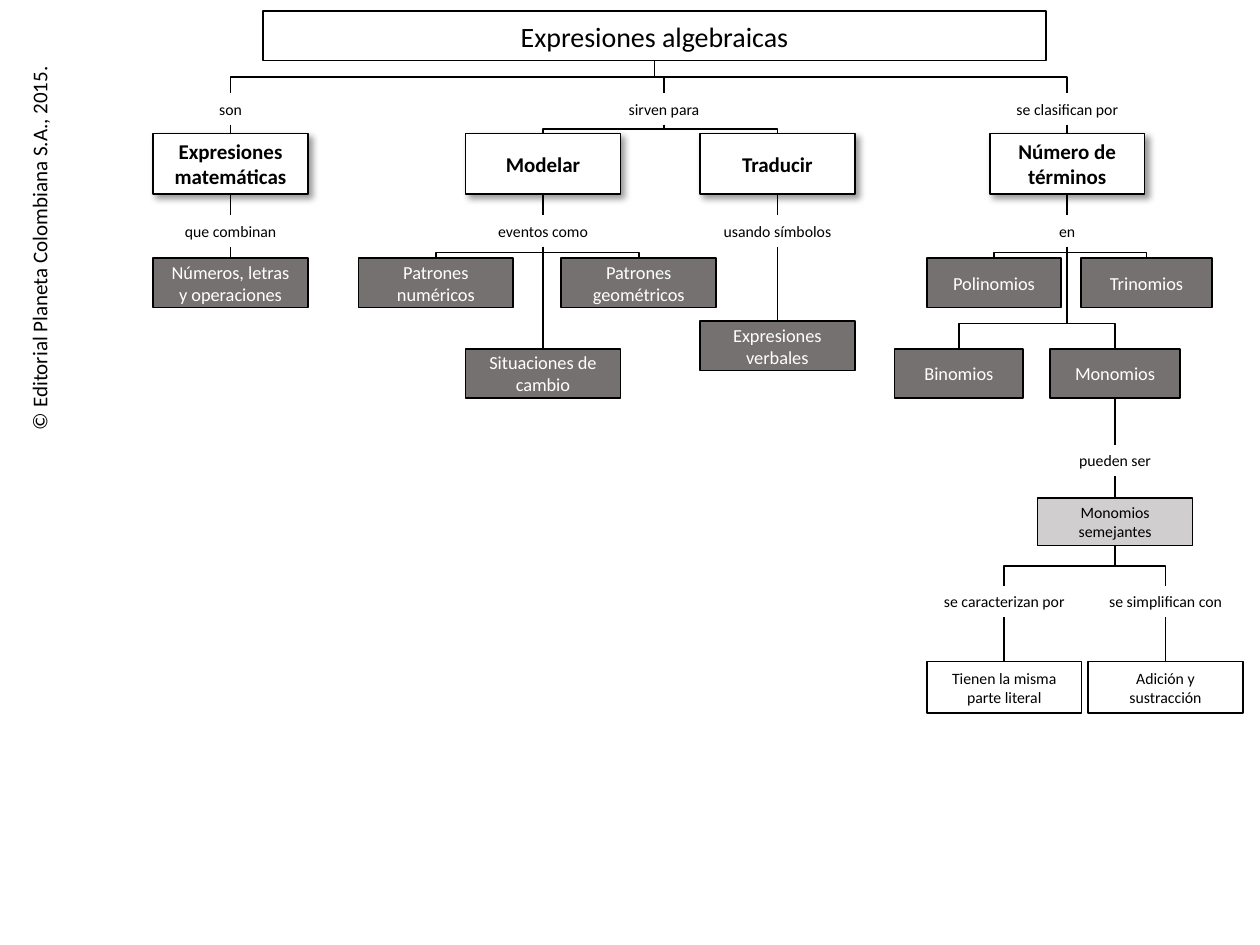
"""Build a one-slide concept map of algebraic expressions."""
from lxml.etree import SubElement
from pptx import Presentation
from pptx.dml.color import RGBColor
from pptx.enum.shapes import MSO_CONNECTOR, MSO_SHAPE
from pptx.enum.text import MSO_ANCHOR, MSO_AUTO_SIZE, PP_ALIGN
from pptx.oxml.ns import qn
from pptx.util import Inches, Pt

BLACK = RGBColor(0x00, 0x00, 0x00)
WHITE = RGBColor(0xFF, 0xFF, 0xFF)
DARK = RGBColor(0x76, 0x71, 0x71)
LIGHT = RGBColor(0xD0, 0xCE, 0xCE)

TITLE = "Expresiones algebraicas"
COPYRIGHT = "© Editorial Planeta Colombiana S.A., 2015."

MATH_X, MODEL_X, PURPOSE_X, TRANSLATE_X, TERMS_X = 1.83, 4.31, 5.27, 6.17, 8.47
MONOMIAL_X, TRAIT_X, OPERATION_X = 8.85, 7.97, 9.25
NODE_WIDTH = 1.23

STYLES = {
    "title": {"fill": WHITE, "color": BLACK, "height": 0.39, "font": {"size": Pt(16), "bold": False}},
    "main": {"fill": WHITE, "color": BLACK, "height": 0.48, "font": {"size": Pt(12), "bold": True}},
    "concept": {"fill": DARK, "color": WHITE, "height": 0.39, "font": {"size": Pt(10.5), "bold": False}},
    "similar": {"fill": LIGHT, "color": BLACK, "height": 0.38, "font": {"size": Pt(9), "bold": False}},
    "detail": {"fill": WHITE, "color": BLACK, "height": 0.41, "font": {"size": Pt(9), "bold": False}},
    "label": {"fill": None, "color": BLACK, "height": 0.25, "font": {"size": Pt(9), "bold": False}},
    "copyright": {"fill": None, "color": BLACK, "height": 0.3, "font": {"size": Pt(12), "bold": False}},
}

ROWS = [
    ("label", 0.74, [("son", MATH_X), ("sirven para", PURPOSE_X), ("se clasifican por", TERMS_X)]),
    ("main", 1.06, [("Expresiones matemáticas", MATH_X), ("Modelar", MODEL_X),
                    ("Traducir", TRANSLATE_X), ("Número de términos", TERMS_X)]),
    ("label", 1.71, [("que combinan", MATH_X), ("eventos como", MODEL_X),
                     ("usando símbolos", TRANSLATE_X), ("en", TERMS_X)]),
    ("concept", 2.05, [("Números, letras\ny operaciones", MATH_X), ("Patrones numéricos", 3.46),
                       ("Patrones geométricos", 5.07), ("Polinomios", 7.89, 1.06),
                       ("Trinomios", 9.1, 1.04)]),
    ("concept", 2.55, [("Expresiones verbales", TRANSLATE_X)]),
    ("concept", 2.77, [("Situaciones de cambio", MODEL_X), ("Binomios", 7.61, 1.02),
                       ("Monomios", MONOMIAL_X, 1.03)]),
    ("label", 3.53, [("pueden ser", MONOMIAL_X)]),
    ("similar", 3.95, [("Monomios semejantes", MONOMIAL_X)]),
    ("label", 4.65, [("se caracterizan por", TRAIT_X), ("se simplifican con", OPERATION_X)]),
    ("detail", 5.25, [("Tienen la misma parte literal", TRAIT_X),
                      ("Adición y sustracción", OPERATION_X)]),
]

LINKS = {
    TITLE: ["son", "sirven para", "se clasifican por"],
    "son": ["Expresiones matemáticas"],
    "sirven para": ["Modelar", "Traducir"],
    "se clasifican por": ["Número de términos"],
    "Expresiones matemáticas": ["que combinan"],
    "Modelar": ["eventos como"],
    "Traducir": ["usando símbolos"],
    "Número de términos": ["en"],
    "que combinan": ["Números, letras\ny operaciones"],
    "eventos como": ["Patrones numéricos", "Patrones geométricos", "Situaciones de cambio"],
    "usando símbolos": ["Expresiones verbales"],
    "en": ["Polinomios", "Trinomios", "Binomios", "Monomios"],
    "Monomios": ["pueden ser"],
    "pueden ser": ["Monomios semejantes"],
    "Monomios semejantes": ["se caracterizan por", "se simplifican con"],
    "se caracterizan por": ["Tienen la misma parte literal"],
    "se simplifican con": ["Adición y sustracción"],
}
LOW_BENDS = {"Binomios": 0.75, "Monomios": 0.75}


def set_text(node, text, style):
    frame = node.text_frame
    frame.text = text
    frame.word_wrap = True
    for paragraph in frame.paragraphs:
        paragraph.alignment = PP_ALIGN.CENTER
        for attribute, value in {"name": "Calibri", **style["font"]}.items():
            setattr(paragraph.font, attribute, value)
        paragraph.font.color.rgb = style["color"]


def format_box(box, style):
    box.fill.solid()
    box.fill.fore_color.rgb = style["fill"]
    box.line.color.rgb = BLACK
    box.line.width = Pt(1)
    box.shadow.inherit = False
    box.text_frame.vertical_anchor = MSO_ANCHOR.MIDDLE


def add_shadow(box):
    effects = box._element.spPr.find(qn("a:effectLst"))
    shadow = SubElement(effects, qn("a:outerShdw"), blurRad=str(Pt(4)), dist=str(Pt(3)),
                        dir="2700000", algn="tl", rotWithShape="0")
    tint = SubElement(shadow, qn("a:srgbClr"), val=str(BLACK))
    SubElement(tint, qn("a:alpha"), val="40000")


def add_node(slide, style_name, top, text, center, width=NODE_WIDTH):
    style = STYLES[style_name]
    place = [Inches(value) for value in (center - width / 2, top, width, style["height"])]
    if style["fill"] is None:
        node = slide.shapes.add_textbox(*place)
        node.text_frame.auto_size = MSO_AUTO_SIZE.SHAPE_TO_FIT_TEXT
    else:
        node = slide.shapes.add_shape(MSO_SHAPE.RECTANGLE, *place)
        format_box(node, style)
    if style_name == "main":
        add_shadow(node)
    set_text(node, text, style)
    return node


def turn_down(link, bend):
    """Turn an elbow link so that it leaves and arrives vertically."""
    start_x, start_y, end_x, end_y = link.begin_x, link.begin_y, link.end_x, link.end_y
    drop, reach = end_y - start_y, abs(end_x - start_x)
    properties = link._element.spPr
    frame = properties.find(qn("a:xfrm"))
    for flip in ("flipH", "flipV"):
        frame.attrib.pop(flip, None)
    link.left, link.top = (start_x + end_x - drop) // 2, (start_y + end_y - reach) // 2
    link.width, link.height = drop, reach
    if end_x > start_x:
        frame.set("rot", "16200000")
        frame.set("flipH", "1")
    else:
        frame.set("rot", "5400000")
    adjustments = properties.find(qn("a:prstGeom")).find(qn("a:avLst"))
    SubElement(adjustments, qn("a:gd"), name="adj1", fmla=f"val {round(bend * 100000)}")


def add_link(slide, parent, child, bend):
    offset = parent.left + parent.width // 2 - child.left - child.width // 2
    bent = abs(offset) > Inches(0.02)
    kind = MSO_CONNECTOR.ELBOW if bent else MSO_CONNECTOR.STRAIGHT
    link = slide.shapes.add_connector(kind, 0, 0, 0, 0)
    link.begin_connect(parent, 2)
    link.end_connect(child, 0)
    if bent:
        turn_down(link, bend)
    link.line.color.rgb = BLACK
    link.line.width = Pt(1)
    SubElement(link._element.spPr, qn("a:effectLst"))


def main():
    deck = Presentation()
    deck.slide_width, deck.slide_height = Inches(10), Inches(7.5)
    slide = deck.slides.add_slide(deck.slide_layouts[5])

    title = slide.shapes.title
    title.left, title.top, title.width, title.height = map(Inches, (2.09, 0.09, 6.21, 0.39))
    format_box(title, STYLES["title"])
    set_text(title, TITLE, STYLES["title"])

    copyright_line = add_node(slide, "copyright", 1.82, COPYRIGHT, 0.31, 3.12)
    copyright_line.rotation = 270
    copyright_line.text_frame.word_wrap = False

    nodes = {TITLE: title}
    for style_name, top, entries in ROWS:
        for entry in entries:
            nodes[entry[0]] = add_node(slide, style_name, top, *entry)
    for parent, children in LINKS.items():
        for child in children:
            add_link(slide, nodes[parent], nodes[child], LOW_BENDS.get(child, 0.5))

    deck.save("out.pptx")


if __name__ == "__main__":
    main()
